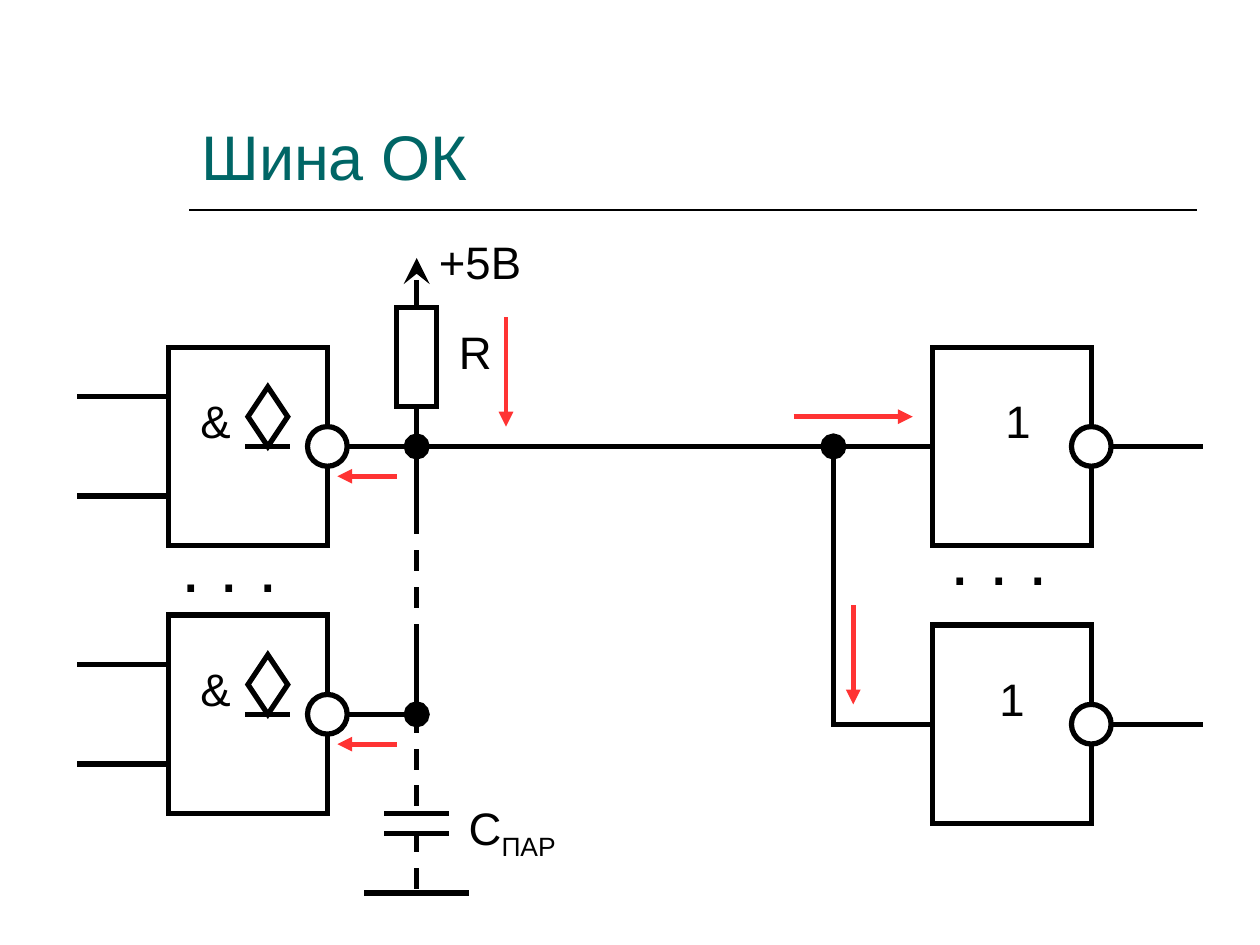
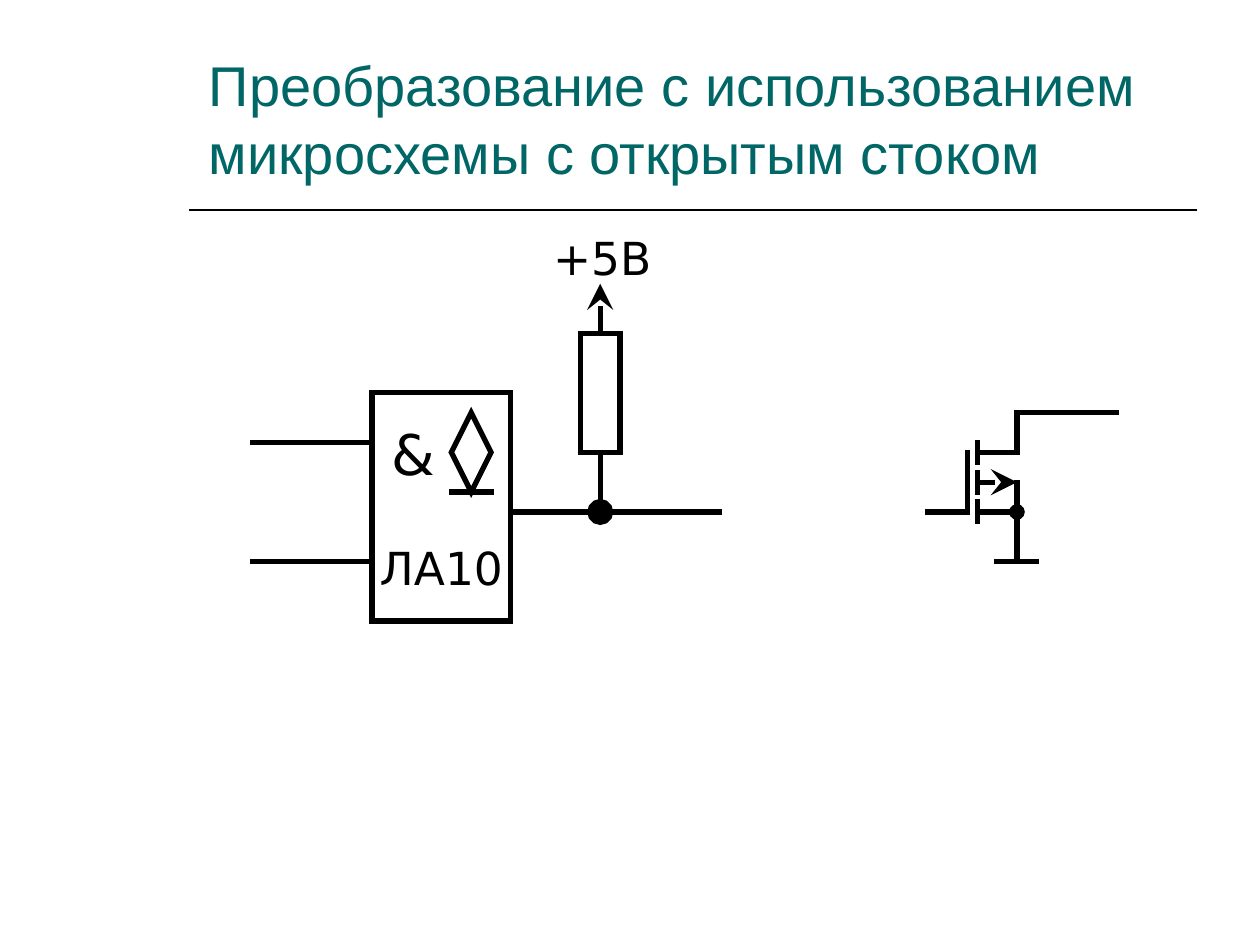
from dataclasses import dataclass
from typing import NamedTuple

from lxml import etree
from pptx import Presentation
from pptx.dml.color import RGBColor
from pptx.enum import dml, shapes, text
from pptx.oxml.ns import qn
from pptx.util import Length
from pptx import util as u

COLORS = {"ink": "000000", "paper": "FFFFFF", "title": "006666", "current": "FF3333"}
UNIT = u.Mm(2)  # grid step of both circuits
INK_WIDTH, CURRENT_WIDTH = 3, 2.83
LABEL_SIZE, DOTS_SIZE = 26, 40
SHAPE = shapes.MSO_SHAPE


def rgb(name: str) -> RGBColor:
    return RGBColor.from_string(COLORS[name])


def grid(n: float) -> Length:
    return Length(round(n * UNIT))


class Insets(NamedTuple):
    left: float = 1.27
    top: float = 0.64
    right: float = 1.27
    bottom: float = 0.64


class Box(NamedTuple):
    x: float
    y: float
    w: float
    h: float


class Wire(NamedTuple):
    x1: float
    y1: float
    x2: float
    y2: float
    end: str = ""
    size: str = "lg"
    dashed: bool = False


class Gate(NamedTuple):
    x: float
    y: float
    sign: str
    insets: Insets


@dataclass
class Sheet:
    """A slide whose circuit grid starts at (dx, dy)."""
    s: object
    font: str
    dx: float = 0
    dy: float = 0

    def place(self, b: Box) -> tuple:
        return grid(b.x + self.dx), grid(b.y + self.dy), grid(b.w), grid(b.h)

    def wire(self, w: Wire, color: str = "ink", width: float = INK_WIDTH, cap: str = "sq") -> None:
        x1, y1, _, _ = self.place(Box(w.x1, w.y1, 0, 0))
        x2, y2, _, _ = self.place(Box(w.x2, w.y2, 0, 0))
        c = self.s.shapes.add_connector(shapes.MSO_CONNECTOR.STRAIGHT, x1, y1, x2, y2)
        etree.SubElement(c._element.spPr, qn("a:effectLst"))
        c.line.color.rgb, c.line.width = rgb(color), u.Pt(width)
        if w.dashed:
            c.line.dash_style = dml.MSO_LINE.DASH
        ln = c.line._get_or_add_ln()
        ln.set("cap", cap)
        if w.end:
            etree.SubElement(ln, qn("a:tailEnd"), type=w.end, w=w.size, len=w.size)

    def wires(self, *items: Wire) -> None:
        for w in items:
            self.wire(w)

    def current(self, *items: Wire) -> None:
        for w in items:
            self.wire(w._replace(end="triangle", size="med"), "current", CURRENT_WIDTH, "flat")

    def outline(self, kind: SHAPE, b: Box, filled: bool = True):
        sp = self.s.shapes.add_shape(kind, *self.place(b))
        sp.shadow.inherit = False
        if filled:
            sp.fill.solid()
            sp.fill.fore_color.rgb = rgb("paper")
        else:
            sp.fill.background()
        sp.line.color.rgb, sp.line.width = rgb("ink"), u.Pt(INK_WIDTH)
        etree.SubElement(sp.line._get_or_add_ln(), qn("a:miter"), lim="800000")
        return sp

    def style(self, p, size: float, color: str = "ink") -> None:
        p.font.size, p.font.name = u.Pt(size), self.font
        p.font.color.rgb = rgb(color)

    def label(self, b: Box, words: str, size: float = LABEL_SIZE, color: str = "ink",
              anchor=text.MSO_ANCHOR.TOP):
        tf = self.s.shapes.add_textbox(*self.place(b)).text_frame
        tf.word_wrap, tf.vertical_anchor = True, anchor
        p = tf.paragraphs[0]
        p.text = words
        self.style(p, size, color)
        return p

    def title(self, b: Box, words: str, size: float) -> None:
        page = Sheet(self.s, "Arial")
        page.label(b, words, size, "title", text.MSO_ANCHOR.BOTTOM)
        page.wire(Wire(19.05, 21.2, 120.65, 21.2), width=1, cap="flat")

    def gate(self, b: Box, insets: Insets):
        tf = self.outline(SHAPE.RECTANGLE, b).text_frame
        tf.word_wrap, tf.vertical_anchor = True, text.MSO_ANCHOR.MIDDLE
        tf.margin_left, tf.margin_top, tf.margin_right, tf.margin_bottom = map(grid, insets)
        return tf

    def open_output_sign(self, b: Box) -> None:
        self.outline(SHAPE.DIAMOND, b, filled=False)
        self.wire(Wire(b.x, b.y + b.h, b.x + b.w, b.y + b.h))

    def inverter_gate(self, g: Gate) -> None:
        tf = self.gate(Box(g.x, g.y, 16, 20), g.insets)
        p = tf.paragraphs[0]
        p.text, p.alignment = g.sign, text.PP_ALIGN.CENTER
        self.style(p, LABEL_SIZE)
        self.outline(SHAPE.OVAL, Box(g.x + 14, g.y + 8, 4, 4))


def bus_slide(prs) -> None:
    sh = Sheet(prs.slides.add_slide(prs.slide_layouts[6]), "Arial")
    sh.title(Box(19.05, 4.2, 101.6, 15.9), "Шина ОК", 36)

    # Gates with open collector
    for y in (35, 62):
        sh.wire(Wire(33, y + 10, 42, y + 10, "oval"))
        sh.inverter_gate(Gate(17, y, "&", Insets(right=7.8, bottom=5.9)))
        sh.wires(*(Wire(8, y + dy, 17, y + dy) for dy in (5, 15)))
        sh.open_output_sign(Box(25, y + 4, 4, 6))
    sh.label(Box(17, 52, 16, 9.8), ". . .", DOTS_SIZE)

    # Pull-up resistor
    sh.wire(Wire(42, 31, 42, 26, "stealth"))
    sh.outline(SHAPE.RECTANGLE, Box(40, 31, 4, 10))
    sh.label(Box(43, 23, 16, 6.9), "+5В")
    sh.label(Box(45, 32, 16, 6.9), "R")

    # Shared line and stray capacitor
    sh.wires(
        Wire(42, 41, 42, 45), Wire(42, 45, 42, 52),
        Wire(42, 52, 42, 65, dashed=True), Wire(42, 64, 42, 71),
        Wire(42, 72, 42, 83, dashed=True),
        Wire(39, 82, 45, 82), Wire(39, 84, 45, 84),
        Wire(42, 84, 42, 90, dashed=True), Wire(37, 90, 47, 90),
    )
    p = sh.label(Box(46, 80, 16, 7.6), "C")
    r = p.add_run()
    r.text = "ПАР"
    r.font._element.set("baseline", "-25000")

    # Receivers
    for y, left in ((35, 2.5), (63, 1.27)):
        sh.inverter_gate(Gate(94, y, "1", Insets(left=left, bottom=5.9)))
        sh.wire(Wire(112, y + 10, 121, y + 10))
    sh.wires(Wire(84, 73, 94, 73), Wire(84, 45, 84, 73),
             Wire(42, 45, 94, 45), Wire(84, 50, 84, 45, "oval"))
    sh.label(Box(94.6, 51.3, 12.3, 9.8), ". . .", DOTS_SIZE)

    # Current directions
    sh.current(Wire(80, 42, 92, 42), Wire(86, 61, 86, 71), Wire(51, 32, 51, 43),
               Wire(40, 48, 34, 48), Wire(40, 75, 34, 75))


def open_drain_slide(prs) -> None:
    sh = Sheet(prs.slides.add_slide(prs.slide_layouts[6]), "DejaVu Sans", 0.5, -0.4)
    sh.title(Box(19.8, 5, 100, 14.3),
             "Преобразование с использованием микросхемы с открытым стоком", 32)

    # Gate with open drain
    tf = sh.gate(Box(37, 40, 14, 23), Insets(0, 0, 0, 0))
    sign, chip = tf.paragraphs[0], tf.add_paragraph()
    sign.text, sign.alignment = "&", text.PP_ALIGN.LEFT
    sign._p.get_or_add_pPr().set("marL", str(grid(2)))
    chip.text, chip.alignment, chip.space_before = "ЛА10", text.PP_ALIGN.CENTER, u.Pt(30.3)
    sh.style(sign, 32)
    sh.style(chip, LABEL_SIZE)
    sh.open_output_sign(Box(45, 42, 4, 8))
    sh.wires(Wire(25, 45, 37, 45), Wire(25, 57, 37, 57), Wire(51, 52, 72, 52))

    # Pull-up resistor
    sh.outline(SHAPE.RECTANGLE, Box(58, 34, 4, 12))
    sh.wires(Wire(60, 46, 60, 52, "oval"), Wire(60, 34, 60, 29, "stealth"))
    sh.label(Box(54, 23, 17, 6.9), "+5В")

    # Transistor: gate, three channel segments with leads, source and drain
    sh.wires(Wire(93, 52, 97, 52), Wire(97, 52, 97, 46))
    for y, end, size in ((52, "oval", "med"), (49, "stealth", "lg"), (46, "", "")):
        sh.wires(Wire(98, y + 1, 98, y - 1), Wire(98, y, 102, y, end, size))
    sh.wires(Wire(102, 57, 102, 49), Wire(100, 57, 104, 57),
             Wire(102, 46, 102, 42), Wire(102, 42, 112, 42))


def main() -> None:
    prs = Presentation()
    prs.slide_width, prs.slide_height = u.Inches(10), u.Inches(7.5)
    bus_slide(prs)
    open_drain_slide(prs)
    prs.save("out.pptx")


if __name__ == "__main__":
    main()
